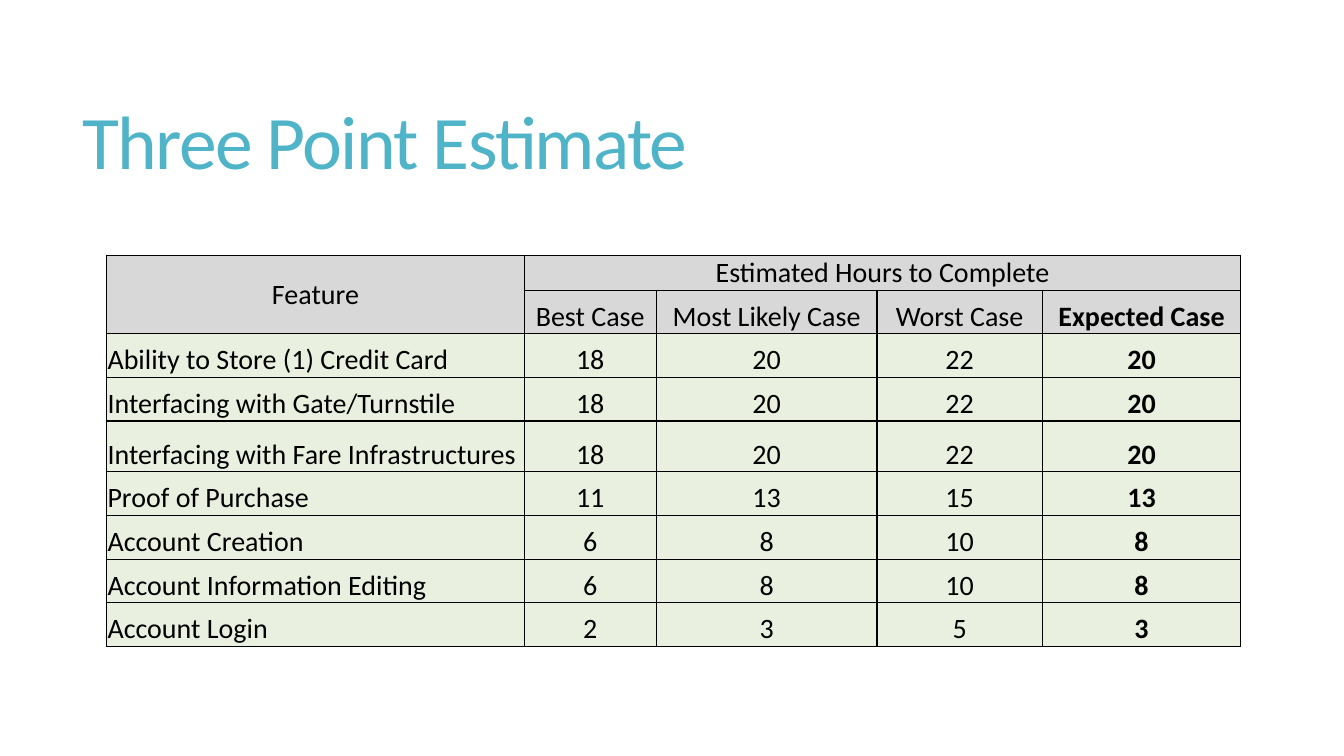
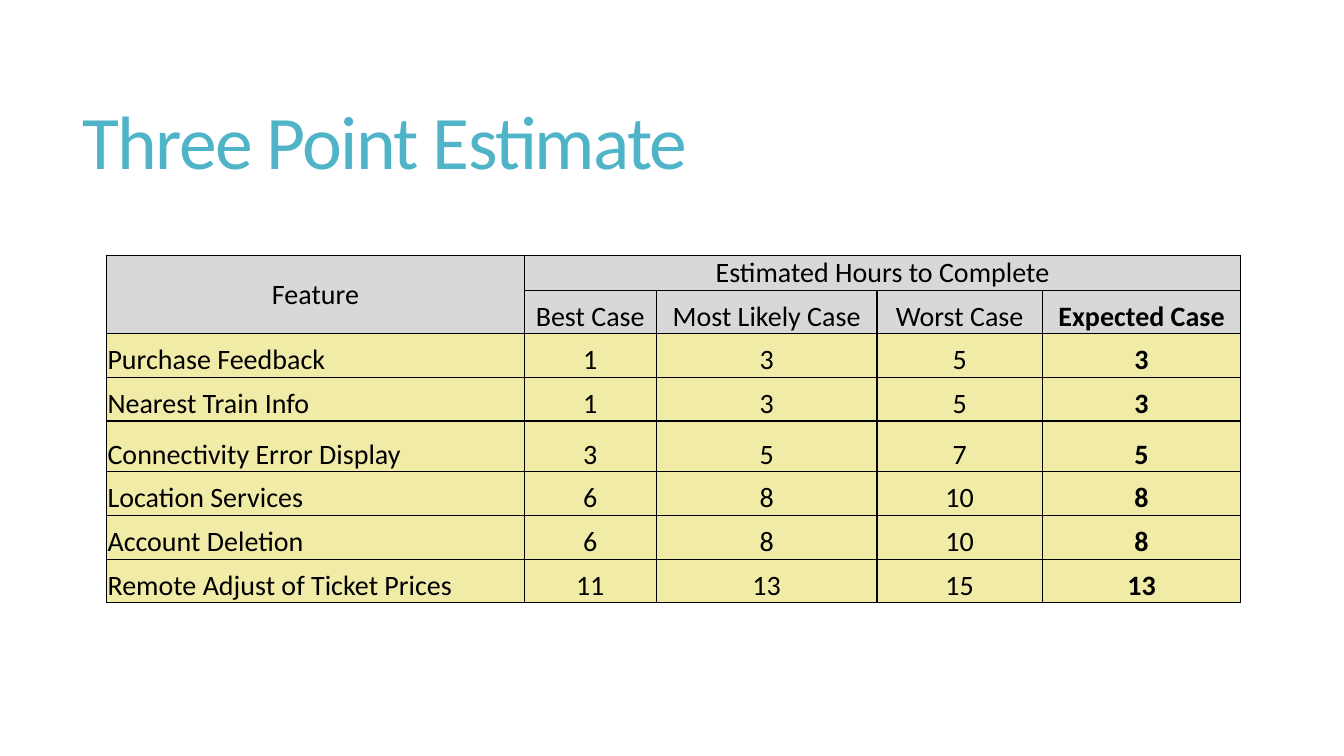
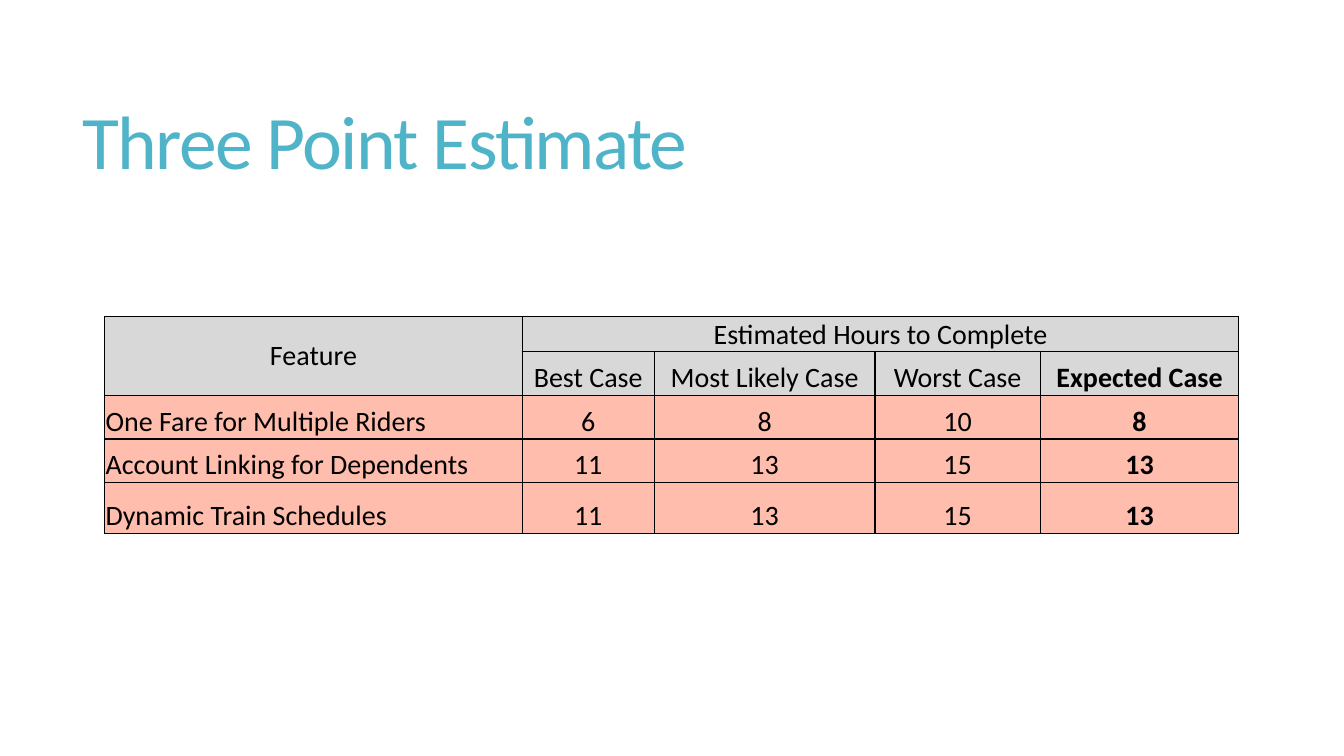
from dataclasses import dataclass

from lxml import etree
from pptx import Presentation
from pptx import util as u
from pptx.dml import color
from pptx.enum import text
from pptx.oxml import ns


@dataclass(frozen=True)
class Theme:
    """Colours, font and type sizes shared by the slides."""

    font: str = "Calibri"
    title_size: float = 54
    title_spacing: int = -120
    title_leading: float = 0.85
    table_size: float = 20
    border_width: float = 1
    title: str = "50B4C8"
    ink: str = "000000"
    header: str = "D8D8D8"
    green: str = "EAF0E0"
    yellow: str = "F0EBA6"
    red: str = "FFBDAD"


THEME = Theme()
TITLE = "Three Point Estimate"
GROUP_HEADING = "Estimated Hours to Complete"
CASES = ["Best Case", "Most Likely Case", "Worst Case", "Expected Case"]
COLUMN_WIDTHS = [10.52, 3.33, 5.56, 4.17, 5.0]
GROUP_ROW, ROW, TALL_ROW = 0.88, 1.1, 1.28
TALL_INDEX = 4

CORE_FEATURES = [
    ("Ability to Store (1) Credit Card", 18, 20, 22, 20),
    ("Interfacing with Gate/Turnstile", 18, 20, 22, 20),
    ("Interfacing with Fare Infrastructures", 18, 20, 22, 20),
    ("Proof of Purchase", 11, 13, 15, 13),
    ("Account Creation", 6, 8, 10, 8),
    ("Account Information Editing", 6, 8, 10, 8),
    ("Account Login", 2, 3, 5, 3),
]
USEFUL_FEATURES = [
    ("Purchase Feedback", 1, 3, 5, 3),
    ("Nearest Train Info", 1, 3, 5, 3),
    ("Connectivity Error Display", 3, 5, 7, 5),
    ("Location Services", 6, 8, 10, 8),
    ("Account Deletion", 6, 8, 10, 8),
    ("Remote Adjust of Ticket Prices", 11, 13, 15, 13),
]
EXTRA_FEATURES = [
    ("One Fare for Multiple Riders", 6, 8, 10, 8),
    ("Account Linking for Dependents", 11, 13, 15, 13),
    ("Dynamic Train Schedules", 11, 13, 15, 13),
]


def style_run(run, size, ink, bold=False):
    """Set the font of a run."""
    run.font.name = THEME.font
    run.font.size = u.Pt(size)
    run.font.bold = bold
    run.font.color.rgb = color.RGBColor.from_string(ink)


def add_title(slide):
    """Add the slide title."""
    box = slide.shapes.add_textbox(u.Cm(1.83), u.Cm(1.4), u.Cm(29.92), u.Cm(4.6))
    frame = box.text_frame
    frame.word_wrap = True
    frame.vertical_anchor = text.MSO_ANCHOR.MIDDLE
    frame.text = TITLE
    paragraph = frame.paragraphs[0]
    paragraph.line_spacing = THEME.title_leading
    run = paragraph.runs[0]
    style_run(run, THEME.title_size, THEME.title)
    run.font._element.set("spc", str(THEME.title_spacing))


def add_borders(cell):
    """Draw a solid line on all four sides of a cell."""
    properties = cell._tc.get_or_add_tcPr()
    for side in ("a:lnL", "a:lnR", "a:lnT", "a:lnB"):
        line = etree.SubElement(properties, ns.qn(side), w=str(u.Pt(THEME.border_width)))
        fill = etree.SubElement(line, ns.qn("a:solidFill"))
        etree.SubElement(fill, ns.qn("a:srgbClr"), val=THEME.ink)


def style_cell(cell, fill, align, bold):
    """Set the borders, fill, margins and font of a cell."""
    add_borders(cell)
    cell.fill.solid()
    cell.fill.fore_color.rgb = color.RGBColor.from_string(fill)
    cell.margin_left = cell.margin_right = cell.margin_top = u.Cm(0.02)
    cell.margin_bottom = 0
    cell.vertical_anchor = text.MSO_ANCHOR.BOTTOM
    paragraph = cell.text_frame.paragraphs[0]
    paragraph.alignment = align
    for run in paragraph.runs:
        style_run(run, THEME.table_size, THEME.ink, bold)


def add_estimate_table(slide, left, top, features, fill):
    """Add a table of features with their estimated hours."""
    rows = [("Feature", GROUP_HEADING, "", "", ""), ("", *CASES), *features]
    heights = [GROUP_ROW] + [ROW] * (len(rows) - 1)
    heights[TALL_INDEX] = TALL_ROW
    frame = slide.shapes.add_table(
        len(rows), len(COLUMN_WIDTHS), u.Cm(left), u.Cm(top),
        u.Cm(sum(COLUMN_WIDTHS)), u.Cm(sum(heights)))
    table = frame.table
    table.first_row = table.horz_banding = False
    for column, width in zip(table.columns, COLUMN_WIDTHS):
        column.width = u.Cm(width)
    for row, height in zip(table.rows, heights):
        row.height = u.Cm(height)

    expected = len(COLUMN_WIDTHS) - 1
    for row_index, values in enumerate(rows):
        is_header = row_index < 2
        for column_index, value in enumerate(values):
            cell = table.cell(row_index, column_index)
            cell.text_frame.text = str(value)
            is_name = column_index == 0 and not is_header
            align = text.PP_ALIGN.LEFT if is_name else text.PP_ALIGN.CENTER
            bold = column_index == expected and row_index > 0
            style_cell(cell, THEME.header if is_header else fill, align, bold)

    table.cell(0, 0).merge(table.cell(1, 0))
    table.cell(0, 1).merge(table.cell(0, expected))
    table.cell(0, 0).vertical_anchor = text.MSO_ANCHOR.MIDDLE


def main():
    """Build and save the presentation."""
    presentation = Presentation()
    presentation.slide_width = u.Cm(33.87)
    presentation.slide_height = u.Cm(19.05)
    for left, top, features, fill in (
        (2.69, 6.43, CORE_FEATURES, THEME.green),
        (2.69, 6.43, USEFUL_FEATURES, THEME.yellow),
        (2.64, 7.98, EXTRA_FEATURES, THEME.red),
    ):
        slide = presentation.slides.add_slide(presentation.slide_layouts[6])
        add_title(slide)
        add_estimate_table(slide, left, top, features, fill)
    presentation.save("out.pptx")


if __name__ == "__main__":
    main()
